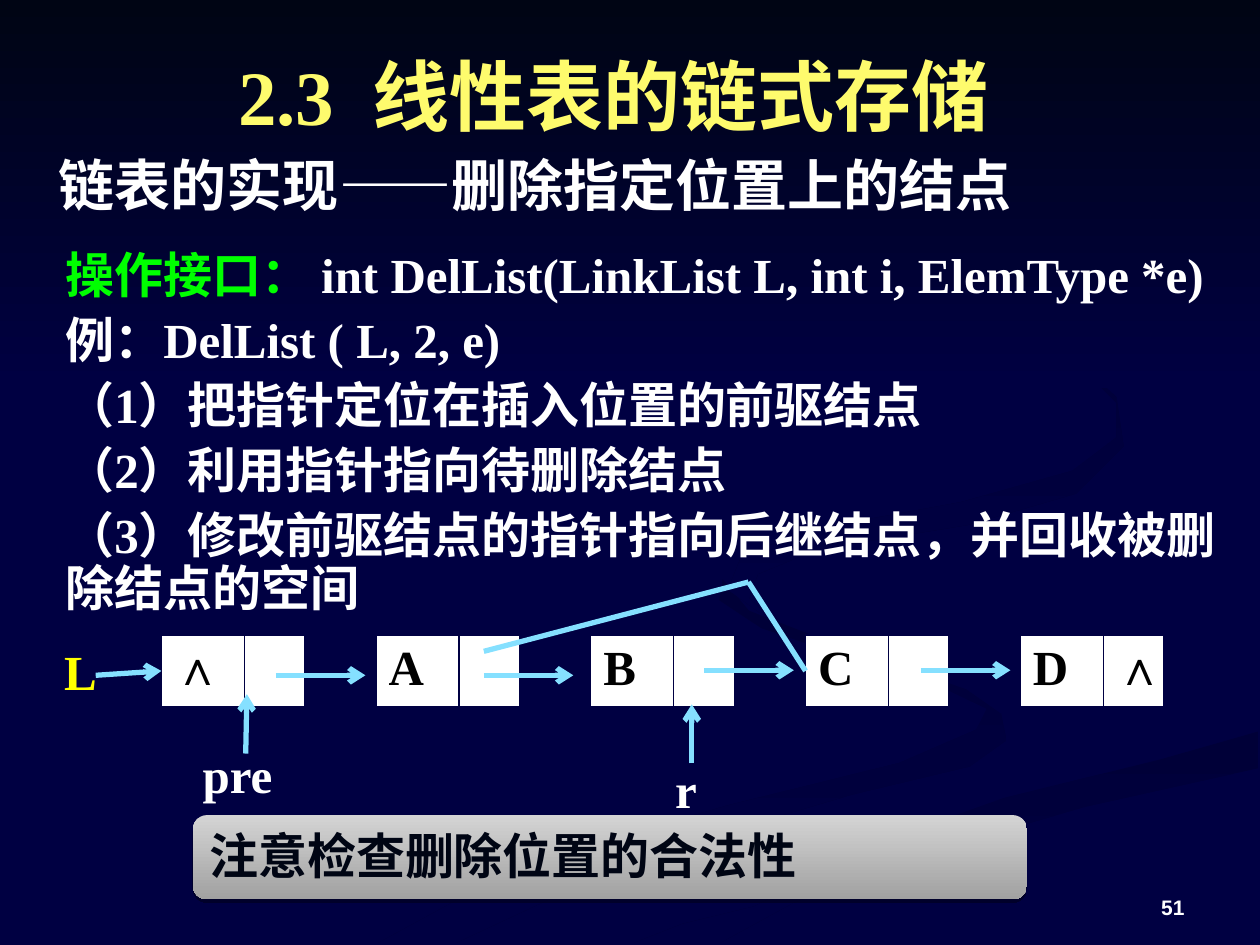
"""Build a lecture slide on deleting a node from a linked list."""
import pptx
import pptx.util
import pptx.dml.color
import pptx.enum.shapes
import pptx.enum.text
import pptx.oxml
import pptx.oxml.ns
from lxml import etree

Pt = pptx.util.Pt
RGB = pptx.dml.color.RGBColor
Shape = pptx.enum.shapes.MSO_SHAPE
Anchor = pptx.enum.text.MSO_ANCHOR
Align = pptx.enum.text.PP_ALIGN
qn = pptx.oxml.ns.qn

NAVY = RGB(0x00, 0x00, 0x42)
SHADE = RGB(0x00, 0x00, 0x38)
MIDNIGHT = RGB(0x00, 0x05, 0x14)
WHITE = RGB(0xFF, 0xFF, 0xFF)
BLACK = RGB(0x00, 0x00, 0x00)
CREAM = RGB(0xFE, 0xFB, 0x6D)
YELLOW = RGB(0xFF, 0xFF, 0x00)
GREEN = RGB(0x00, 0xFF, 0x00)
SKY = RGB(0x85, 0xE0, 0xFF)
SILVER = RGB(0xD4, 0xD4, 0xD4)
GREY = RGB(0xA1, 0xA1, 0xA1)
SERIF, SANS = "Times New Roman", "Arial"

RIBBONS = [
    [(413, 331), (411, 343), (435, 359), (491, 378), (541, 394), (564, 405), (558, 417),
     (514, 436), (417, 460), (330, 485), (271, 509), (216, 539), (260, 539), (335, 504),
     (406, 478), (487, 454), (554, 438), (575, 423), (572, 408), (552, 394), (482, 370),
     (428, 349)],
    [(719, 418), (663, 434), (574, 456), (501, 482), (431, 518), (390, 528), (362, 539),
     (411, 539), (453, 516), (541, 484), (620, 461), (719, 439)],
    [(549, 168), (609, 201), (638, 230), (638, 250), (613, 269), (549, 287), (467, 302),
     (424, 317), (416, 337), (448, 360), (428, 342), (433, 328), (467, 314), (553, 300),
     (615, 282), (642, 255), (638, 227), (607, 198)],
]
STEPS = [
    [("操作接口： ", GREEN), ("int DelList(LinkList L, int i, ElemType *e)", WHITE)],
    [("例：DelList ( L, 2, e)", WHITE)],
    [("（1）把指针定位在插入位置的前驱结点", WHITE)],
    [("（2）利用指针指向待删除结点", WHITE)],
    [("（3）修改前驱结点的指针指向后继结点，并回收被删除结点的空间", WHITE)],
]
NODES = [("∧", ""), ("A", ""), ("B", ""), ("C", ""), ("D", "∧")]
NODE_LEFT, NODE_TOP, NODE_STEP, NODE_HEIGHT = 92.2, 362.9, 122.7, 41
NODE_COLUMNS = (47.4, 34.5)
ARROWS = [
    ((157.7, 385.9), (208.8, 385.9)),
    ((276.5, 385.9), (327.6, 385.9)),
    ((402.5, 383), (453.6, 383)),
    ((526.3, 383), (577.4, 383)),
    ((140.4, 430.6), (141.1, 396.7)),
    ((395.3, 436.3), (395.3, 402.5)),
]


def apply(target, values):
    for name, value in values.items():
        setattr(target, name, value)


class SlideBuilder:
    def __init__(self, page):
        self.page = page
        self.backdrop_count = 0

    def place(self, box, left, top, width, height):
        apply(box, {"left": Pt(left), "top": Pt(top), "width": Pt(width), "height": Pt(height)})

    def add_spans(self, para, parts, size=28, font=SERIF):
        for text, color, *other_font in parts:
            span = para.add_run()
            span.text = text
            apply(span.font, {"size": Pt(size), "bold": True,
                              "name": other_font[0] if other_font else font})
            span.font.color.rgb = color

    def fill_frame(self, box, paragraphs, size=28, font=SERIF, wrap=True,
                   anchor=Anchor.TOP, layout=None):
        frame = box.text_frame
        apply(frame, {"word_wrap": wrap, "vertical_anchor": anchor,
                      "auto_size": pptx.enum.text.MSO_AUTO_SIZE.NONE})
        for index, parts in enumerate(paragraphs):
            para = frame.add_paragraph() if index else frame.paragraphs[0]
            apply(para, layout or {"alignment": Align.LEFT})
            self.add_spans(para, parts, size, font)

    def placeholder(self, index, bounds, paragraphs, **options):
        box = self.page.placeholders[index]
        self.place(box, *bounds)
        self.fill_frame(box, paragraphs, **options)
        return box

    def text(self, bounds, parts, **options):
        box = self.page.shapes.add_textbox(*map(Pt, bounds))
        self.fill_frame(box, [parts], **options)

    def gradient(self, shape, top, bottom):
        shape.fill.gradient()
        shape.fill.gradient_angle = 270
        for stop, color in zip(shape.fill.gradient_stops, (top, bottom)):
            stop.color.rgb = color
        shape.line.fill.background()
        shape.shadow.inherit = False

    def panel(self, kind, bounds, top, bottom):
        shape = self.page.shapes.add_shape(kind, *map(Pt, bounds))
        self.gradient(shape, top, bottom)
        return shape

    def ribbon(self, points):
        corners = [(Pt(x), Pt(y)) for x, y in points]
        builder = self.page.shapes.build_freeform(*corners[0])
        builder.add_line_segments(corners[1:], close=True)
        shape = builder.convert_to_shape()
        self.gradient(shape, SHADE, NAVY)
        return shape

    def send_back(self, shape):
        shape.element.getparent().insert(2 + self.backdrop_count, shape.element)
        self.backdrop_count += 1

    def callout(self, bounds, text):
        shape = self.panel(Shape.FLOWCHART_ALTERNATE_PROCESS, bounds, SILVER, GREY)
        effects = shape.element.spPr.find(qn("a:effectLst"))
        shadow = etree.SubElement(effects, qn("a:outerShdw"), dist=str(Pt(1.8)), dir="5400000")
        color = etree.SubElement(shadow, qn("a:srgbClr"), val=str(BLACK))
        etree.SubElement(color, qn("a:alpha"), val="35000")
        self.fill_frame(shape, [[(text, MIDNIGHT)]])

    def node(self, left, labels):
        frame = self.page.shapes.add_table(1, 2, Pt(left), Pt(NODE_TOP),
                                           Pt(sum(NODE_COLUMNS)), Pt(NODE_HEIGHT))
        table = frame.table
        apply(table, {"first_row": False, "horz_banding": False})
        for column, width, cell, label in zip(table.columns, NODE_COLUMNS,
                                              table.rows[0].cells, labels):
            column.width = Pt(width)
            if label:
                self.add_spans(cell.text_frame.paragraphs[0], [(label, BLACK)],
                               font=SANS if label == "∧" else SERIF)
            properties = cell._tc.get_or_add_tcPr()
            for side in ("a:lnL", "a:lnR", "a:lnT", "a:lnB"):
                border = etree.SubElement(properties, qn(side), w=str(Pt(0.75)))
                paint = etree.SubElement(border, qn("a:solidFill"))
                etree.SubElement(paint, qn("a:srgbClr"), val=str(NAVY))
            cell.fill.solid()
            cell.fill.fore_color.rgb = WHITE
        return frame

    def line(self, start, end, arrow=True):
        connector = self.page.shapes.add_connector(
            pptx.enum.shapes.MSO_CONNECTOR.STRAIGHT, *map(Pt, start + end))
        connector.line.color.rgb = SKY
        connector.line.width = Pt(3)
        if arrow:
            etree.SubElement(connector.line._get_or_add_ln(), qn("a:tailEnd"), type="arrow")
        etree.SubElement(connector.element.spPr, qn("a:effectLst"))
        return connector


def main():
    deck = pptx.Presentation()
    apply(deck, {"slide_width": Pt(720), "slide_height": Pt(540)})
    page = deck.slides.add_slide(deck.slide_layouts[1])
    page.background.fill.solid()
    page.background.fill.fore_color.rgb = NAVY
    builder = SlideBuilder(page)

    for points in RIBBONS:
        builder.send_back(builder.ribbon(points))
    builder.send_back(builder.panel(Shape.RECTANGLE, (0, 0, 720, 221.8), MIDNIGHT, NAVY))

    builder.placeholder(0, (70.6, 28.8, 570.2, 50.4), [[("2.3  线性表的链式存储 ", CREAM)]],
                        size=44, anchor=Anchor.MIDDLE, layout={"alignment": Align.CENTER})
    body = builder.placeholder(1, (30.2, 139.7, 676.1, 204.5), STEPS,
                               layout={"line_spacing": 0.9, "space_before": Pt(7)})
    for para in body.text_frame.paragraphs:
        properties = para._p.get_or_add_pPr()
        for name in ("marL", "indent"):
            properties.set(name, "0")
        etree.SubElement(properties, qn("a:buNone"))
    builder.text((26.6, 84.2, 583.2, 42.5),
                 [("链表的实现", WHITE), ("——删除指定位置上的结点", WHITE, SANS)],
                 size=32, anchor=Anchor.MIDDLE)
    builder.text((516.2, 491.8, 167.8, 37.4), [("51", WHITE)], size=12, font=SANS,
                 anchor=Anchor.BOTTOM, layout={"alignment": Align.RIGHT})

    nodes = [builder.node(NODE_LEFT + NODE_STEP * index, labels)
             for index, labels in enumerate(NODES)]
    for label, color, bounds in (("L", YELLOW, (29.5, 362.9, 32.4, 41)),
                                 ("pre", WHITE, (108.7, 421.9, 62.6, 41)),
                                 ("r", WHITE, (378.7, 430.6, 28.8, 41))):
        builder.text(bounds, [(label, color)], wrap=False)
    for start, end in ARROWS:
        builder.line(start, end)
    builder.line((54.7, 385.9), (92.2, 383.4)).end_connect(nodes[0], 1)
    builder.line((276.5, 372.2), (427.7, 332.6), arrow=False)
    builder.line((427.7, 332.6), (460.3, 383.4), arrow=False).end_connect(nodes[3], 1)
    builder.callout((110.2, 465.8, 476.6, 48.2), "注意检查删除位置的合法性")
    deck.save("out.pptx")


if __name__ == "__main__":
    main()
